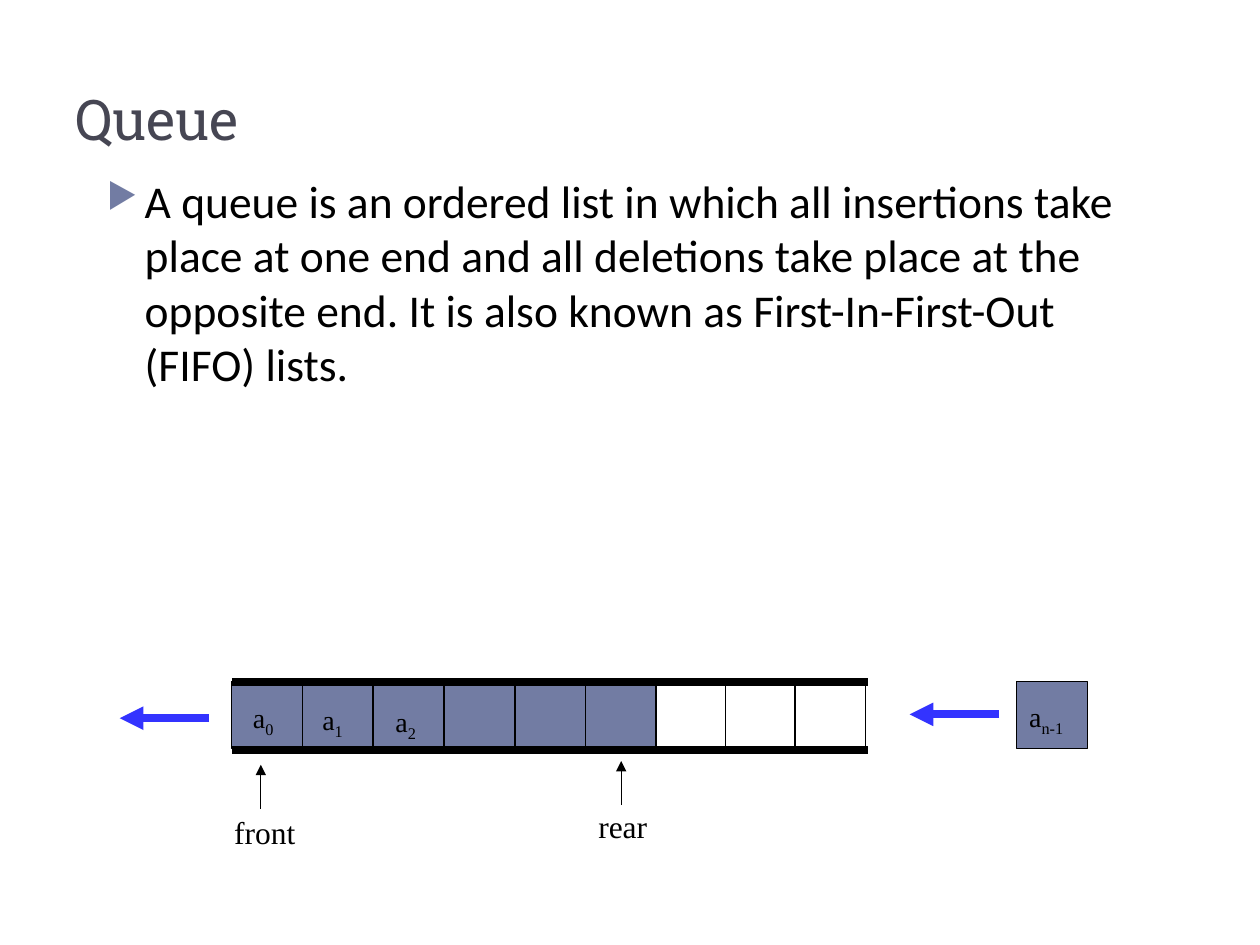
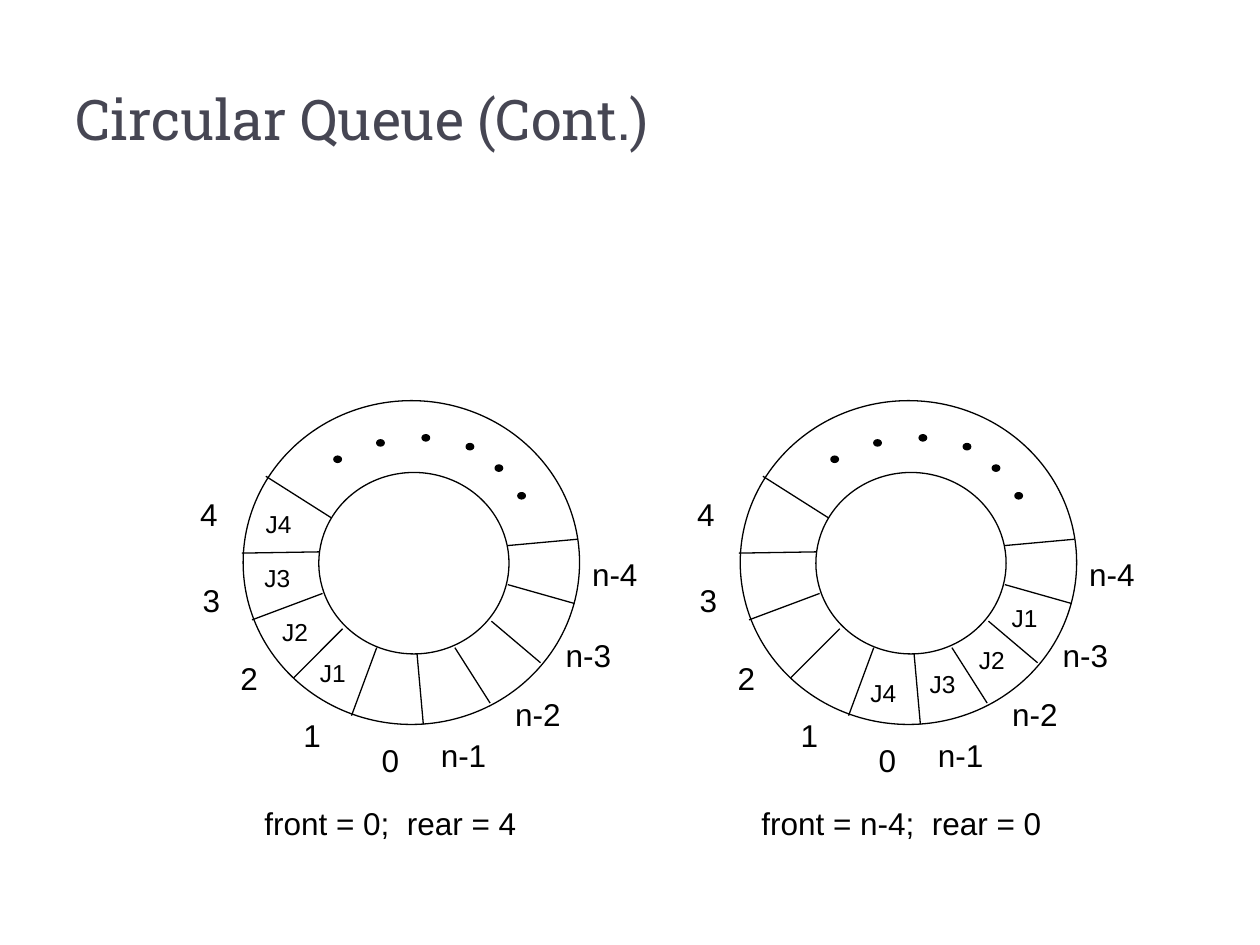
from dataclasses import dataclass
from lxml import etree
from pptx import Presentation
from pptx.dml.color import RGBColor
from pptx.enum.shapes import MSO_CONNECTOR, MSO_SHAPE
from pptx.enum.text import MSO_ANCHOR
from pptx.oxml.ns import qn
from pptx.util import Inches, Pt

RECT, OVAL = MSO_SHAPE.RECTANGLE, MSO_SHAPE.OVAL
STRAIGHT = MSO_CONNECTOR.STRAIGHT
TOP, BOTTOM = MSO_ANCHOR.TOP, MSO_ANCHOR.BOTTOM


@dataclass(frozen=True)
class Theme:
    title: RGBColor = RGBColor(0x46, 0x46, 0x53)
    accent: RGBColor = RGBColor(0x72, 0x7C, 0xA3)
    arrow: RGBColor = RGBColor(0x33, 0x33, 0xFF)
    ink: RGBColor = RGBColor(0, 0, 0)
    title_font: str = "Roboto Slab"
    body_font: str = "Calibri"
    queue_font: str = "Times New Roman"
    ring_font: str = "Arial"
    title_size: int = 32
    body_size: int = 26
    label_size: int = 18
    item_size: int = 16
    job_size: int = 14
    thin: float = 0.75
    thick: float = 4.5


T = Theme()


def add_text(s, box, text, font, size, color=T.ink, anchor=TOP, sub=""):
    """Add a one-paragraph text box, with an optional subscript run."""
    tf = s.shapes.add_textbox(*map(Inches, box)).text_frame
    tf.word_wrap = True
    tf.vertical_anchor = anchor
    p = tf.paragraphs[0]
    for part in filter(None, (text, sub)):
        r = p.add_run()
        r.text = part
        r.font.name, r.font.size = font, Pt(size)
        r.font.color.rgb = color
    if sub:
        r.font._element.set("baseline", "-25000")
    return p


def add_line(s, start, end, color=T.ink, width=T.thin, arrow=False):
    """Add a straight line, with an arrowhead at its end if asked."""
    c = s.shapes.add_connector(STRAIGHT, *map(Inches, (*start, *end)))
    c.line.color.rgb = color
    c.line.width = Pt(width)
    if arrow:
        etree.SubElement(c.line._get_or_add_ln(), qn("a:tailEnd"), type="triangle")
    etree.SubElement(c._element.spPr, qn("a:effectLst"))


prs = Presentation()
prs.slide_width, prs.slide_height = Inches(10), Inches(7.5)

# Slides and their titles
slides = []
for title in ("Queue", "Circular Queue (Cont.)"):
    s = prs.slides.add_slide(prs.slide_layouts[6])
    add_text(s, (0.5, 0.17, 9, 1.08), title, T.title_font, T.title_size, T.title, BOTTOM)
    slides.append(s)
queue, circular = slides

# Queue: definition with a triangle bullet
p = add_text(queue, (0.75, 1.32, 8.42, 5.19),
             "A queue is an ordered list in which all insertions take place at one end "
             "and all deletions take place at the opposite end. It is also known as "
             "First-In-First-Out (FIFO) lists.", T.body_font, T.body_size)
p.space_before = Pt(6)
pPr = p._p.get_or_add_pPr()
pPr.set("marL", str(Inches(0.3)))
pPr.set("indent", str(Inches(-0.3)))
bullet_color = etree.SubElement(pPr, qn("a:buClr"))
etree.SubElement(bullet_color, qn("a:srgbClr"), val=str(T.accent))
etree.SubElement(pPr, qn("a:buSzPct"), val="76000")
etree.SubElement(pPr, qn("a:buChar"), char="▶")

# Queue: six filled cells, the arriving cell and two outlined free cells
queue_left, queue_right, queue_top, queue_bottom = 1.84, 6.89, 5.41, 5.95
pitch = (4.65 - queue_left) / 5
cells = [(queue_left + i * pitch, queue_top, True) for i in range(6)]
cells += [(8.07, queue_top, True), (5.2, 5.43, False), (6.31, 5.43, False)]
for x, y, filled in cells:
    sp = queue.shapes.add_shape(RECT, *map(Inches, (x, y, 0.56, 0.53)))
    sp.shadow.inherit = False
    sp.line.color.rgb, sp.line.width = T.ink, Pt(T.thin)
    if filled:
        sp.fill.solid()
        sp.fill.fore_color.rgb = T.accent
    else:
        sp.fill.background()

# Queue: items in the cells
for x, y, w, index in ((1.91, 5.51, 0.4, "0"), (2.46, 5.53, 0.4, "1"),
                       (3.04, 5.54, 0.4, "2"), (8.07, 5.5, 0.64, "n-1")):
    add_text(queue, (x, y, w, 0.41), "a", T.queue_font, T.item_size, sub=index)

# Queue: rails, then the arrows of leaving and arriving items
for y in (queue_bottom, queue_top):
    add_line(queue, (queue_left, y), (queue_right, y), width=T.thick)
for x, y in ((7.93, 5.67), (1.66, 5.7)):
    add_line(queue, (x, y), (x - 0.71, y), T.arrow, T.thick, arrow=True)

# Queue: front and rear pointers
for x, y, label_x, label_y, w, label in ((2.07, 6.42, 1.76, 6.4, 0.71, "front"),
                                         (4.93, 6.39, 4.65, 6.36, 0.61, "rear")):
    add_line(queue, (x, y), (x, y - 0.35), arrow=True)
    add_text(queue, (label_x, label_y, w, 0.4), label, T.queue_font, T.label_size)

# Circular queue: geometry of one ring, placed for the left ring
circles = [(1.93, 3.18, 2.67, 2.57), (2.53, 3.75, 1.51, 1.44)]
dots = [(x, y, 0.06, 0.05) for x, y in ((2.65, 3.62), (2.99, 3.49), (3.35, 3.45),
                                        (3.7, 3.52), (3.93, 3.69), (4.11, 3.91))]
dividers = [  # inner x, y, outer x, y
    (3.31, 5.19, 3.36, 5.75), (2.99, 5.14, 2.79, 5.68), (3.61, 5.14, 3.89, 5.58),
    (3.9, 4.93, 4.29, 5.26), (4.03, 4.64, 4.56, 4.79), (4.03, 4.33, 4.58, 4.28),
    (2.72, 4.99, 2.33, 5.38), (2.56, 4.71, 2, 4.92), (2.53, 4.38, 1.92, 4.39),
    (2.63, 4.11, 2.11, 3.78),
]
slot_labels = [
    ("0", 2.93, 5.83, 0.35), ("1", 2.31, 5.63, 0.35), ("2", 1.81, 5.18, 0.35),
    ("3", 1.51, 4.56, 0.35), ("4", 1.49, 3.88, 0.35), ("n-1", 3.4, 5.79, 0.63),
    ("n-2", 3.99, 5.47, 0.62), ("n-3", 4.39, 5, 0.62), ("n-4", 4.6, 4.36, 0.62),
]

# Circular queue: offset, caption and positions of J1 to J4 for each ring
rings = [
    (0, "front = 0;  rear = 4",
     [(2.44, 5.17), (2.14, 4.85), (2, 4.42), (2.01, 3.99)]),
    (3.945, "front = n-4;  rear = 0",
     [(7.93, 4.74), (7.67, 5.07), (7.28, 5.26), (6.81, 5.33)]),
]
for dx, caption, jobs in rings:
    for x, y, w, h in circles + dots:
        sp = circular.shapes.add_shape(OVAL, *map(Inches, (x + dx, y, w, h)))
        sp.shadow.inherit = False
        sp.line.color.rgb, sp.line.width = T.ink, Pt(T.thin)
        if (x, y, w, h) in dots:
            sp.fill.solid()
            sp.fill.fore_color.rgb = T.ink
        else:
            sp.fill.background()
    for x1, y1, x2, y2 in dividers:
        add_line(circular, (x1 + dx, y1), (x2 + dx, y2))
    for label, x, y, w in slot_labels + [(caption, 2, 6.33, 2.54)]:
        add_text(circular, (x + dx, y, w, 0.4), label, T.ring_font, T.label_size)
    for number, (x, y) in enumerate(jobs, 1):
        add_text(circular, (x, y, 0.46, 0.34), f"J{number}", T.ring_font, T.job_size)

prs.save("out.pptx")
